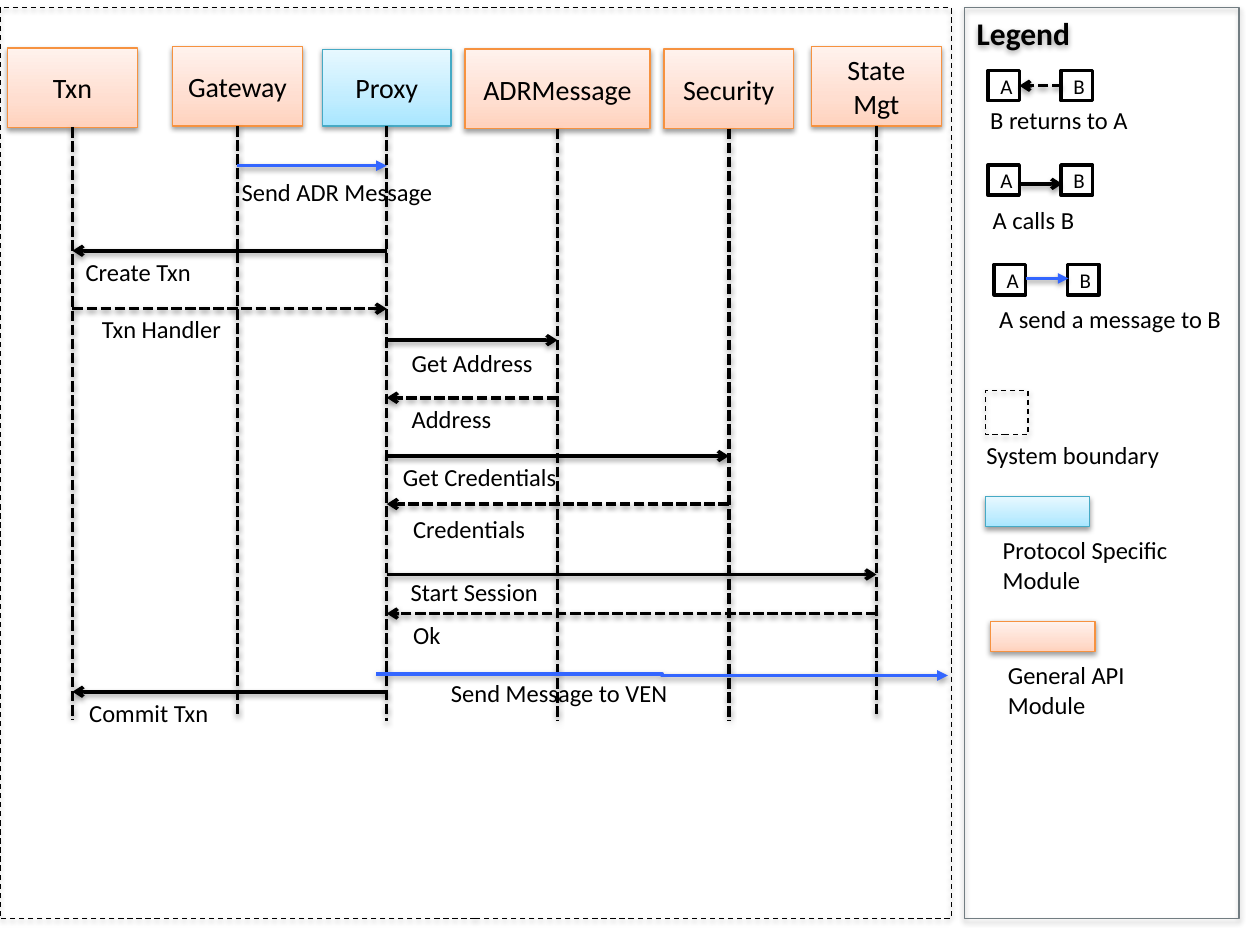
from copy import deepcopy

from lxml import etree
from pptx import Presentation
from pptx.dml.color import RGBColor
from pptx.enum import dml, shapes, text
from pptx.oxml import ns
from pptx.util import Pt

BLACK = RGBColor(0x00, 0x00, 0x00)
WHITE = RGBColor(0xFF, 0xFF, 0xFF)
GREY = RGBColor(0x72, 0x7D, 0x82)
BLUE = RGBColor(0x33, 0x66, 0xFF)
ORANGE_LINE = RGBColor(0xF6, 0x92, 0x40)
TEAL_LINE = RGBColor(0x46, 0xAA, 0xC5)
ORANGE = [RGBColor(0xFF, 0xD2, 0xBD), RGBColor(0xFF, 0xDE, 0xD0), RGBColor(0xFF, 0xF2, 0xED)]
TEAL = [RGBColor(0xA7, 0xE6, 0xFF), RGBColor(0xC1, 0xED, 0xFF), RGBColor(0xE7, 0xF8, 0xFF)]
GENERAL, PROTOCOL = (ORANGE, ORANGE_LINE), (TEAL, TEAL_LINE)
DASH, SHORT_DASH = dml.MSO_LINE.DASH, dml.MSO_LINE.SQUARE_DOT
STRAIGHT, ELBOW = shapes.MSO_CONNECTOR.STRAIGHT, shapes.MSO_CONNECTOR.ELBOW
SHADOW = (
    f'<a:effectLst {ns.nsdecls("a")}>'
    '<a:outerShdw blurRad="39400" dist="20300" dir="5400000" rotWithShape="0">'
    '<a:srgbClr val="000000"><a:alpha val="38000"/></a:srgbClr>'
    '</a:outerShdw></a:effectLst>'
)

presentation = Presentation()
presentation.slide_width, presentation.slide_height = Pt(720), Pt(540)
slide = presentation.slides.add_slide(presentation.slide_layouts[6])


def add_box(bounds, line, fill=None, label="", size=16, width=0.75, dash=None, shadow=True):
    """Add a rectangle; fill is None, one colour or a list of gradient colours."""
    shape = slide.shapes.add_shape(shapes.MSO_SHAPE.RECTANGLE, *map(Pt, bounds))
    properties = shape._element.spPr
    if fill is None:
        shape.fill.background()
    elif isinstance(fill, list):
        shape.fill.gradient()
        shape.fill.gradient_angle = 90
        stop_list = properties.find(".//" + ns.qn("a:gsLst"))
        stop_list.append(deepcopy(stop_list[0]))
        for stop, colour, position in zip(shape.fill.gradient_stops, fill, (0, 0.35, 1)):
            stop.color.rgb, stop.position = colour, position
    else:
        shape.fill.solid()
        shape.fill.fore_color.rgb = fill
    shape.line.color.rgb = line
    shape.line.width = Pt(width)
    if dash:
        shape.line.dash_style = dash
    shape.shadow.inherit = False
    if shadow:
        properties.find(ns.qn("a:effectLst")).append(etree.fromstring(SHADOW)[0])
    if label:
        shape.text_frame.text = label
        paragraph = shape.text_frame.paragraphs[0]
        paragraph.alignment = text.PP_ALIGN.CENTER if size == 16 else text.PP_ALIGN.LEFT
        font = paragraph.runs[0].font
        font.name, font.size, font.color.rgb = "Calibri", Pt(size), BLACK
    return shape


def add_line(x1, y1, x2, y2, colour=BLACK, dash=None, arrow=None, kind=STRAIGHT):
    connector = slide.shapes.add_connector(kind, *map(Pt, (x1, y1, x2, y2)))
    connector.line.color.rgb = colour
    connector.line.width = Pt(2)
    if dash:
        connector.line.dash_style = dash
    if arrow:
        tail = etree.SubElement(connector.line._get_or_add_ln(), ns.qn("a:tailEnd"))
        tail.set("type", arrow)
    connector._element.spPr.append(etree.fromstring(SHADOW))
    return connector


# System boundary and legend panel
add_box((0, 4.5, 543.6, 520.5), BLACK, dash=DASH)
legend = add_box((551, 4.5, 157, 520.5), GREY, label="Legend", size=18)
legend.text_frame.vertical_anchor = text.MSO_ANCHOR.TOP
legend.text_frame.paragraphs[0].runs[0].font.bold = True

# Modules with their lifelines
modules = [
    ("Txn", 4.3, 27.4, 74.2, 45.4, 411, GENERAL),
    ("Gateway", 98.6, 26.6, 74.2, 45.4, 410, GENERAL),
    ("Proxy", 184.3, 28.1, 73.4, 43.9, 412, PROTOCOL),
    ("ADRMessage", 265.7, 28.1, 105.8, 45.4, 412, GENERAL),
    ("Security", 379.4, 28.1, 74.2, 45.4, 412, GENERAL),
    ("State Mgt", 463.7, 26.6, 74.2, 45.4, 410, GENERAL),
]
lifeline_x = {}
for name, left, top, width, height, bottom, (fill, outline) in modules:
    header = add_box((left, top, width, height), outline, fill, name)
    x = lifeline_x[name] = left + width / 2
    lifeline = add_line(x, top + height, x, bottom, dash=SHORT_DASH)
    lifeline.begin_connect(header, 2)

# Messages between lifelines
calls = [
    ("Proxy", "Txn", 143.3, None),
    ("Txn", "Proxy", 176.4, SHORT_DASH),
    ("Proxy", "ADRMessage", 194.4, None),
    ("ADRMessage", "Proxy", 227.3, SHORT_DASH),
    ("Proxy", "Security", 260.6, None),
    ("Security", "Proxy", 288, SHORT_DASH),
    ("Proxy", "State Mgt", 328.3, None),
    ("State Mgt", "Proxy", 350.6, SHORT_DASH),
    ("Proxy", "Txn", 395.3, None),
]
for sender, receiver, y, dash in calls:
    add_line(lifeline_x[sender], y, lifeline_x[receiver], y, dash=dash, arrow="arrow")
add_line(lifeline_x["Gateway"], 94.7, lifeline_x["Proxy"], 94.7, BLUE, arrow="triangle")
add_line(215, 385, 541.6, 386, BLUE, arrow="triangle", kind=ELBOW)

# Legend samples: a pair of boxes and the arrow between them
samples = [
    (564.5, 40.3, 49, BLACK, SHORT_DASH, "arrow", True),
    (564.5, 94.3, 105.1, BLACK, None, "arrow", False),
    (568.1, 151.2, 159.1, BLUE, None, "triangle", False),
]
for left, top, y, colour, dash, arrow, returns in samples:
    for letter, offset in (("A", 0), ("B", 41.8)):
        add_box((left + offset, top, 18, 17.3), BLACK, WHITE, letter, 12, 2, shadow=False)
    start, end = left + 18, left + 42.5
    if returns:
        start, end = end, start
    add_line(start, y, end, y, colour, dash, arrow)

add_box((563, 223.2, 24.5, 25.2), BLACK, dash=DASH)
for left, top, (fill, outline) in ((563, 283.7, PROTOCOL), (566, 355, GENERAL)):
    add_box((left, top, 59.8, 17.3), outline, fill)

# Labels of messages and legend entries
labels = [
    ("Send ADR Message", 131, 97.9, 124.6),
    ("Create Txn", 41.8, 143.3, 173.5),
    ("Txn Handler", 51.1, 175.7, 105.8),
    ("Get Address", 228.2, 195.1, 84.2),
    ("Address", 228.2, 227.5, 60.5),
    ("Get Credentials", 223.2, 260.6, 103),
    ("Credentials", 229, 290.2, 79.2),
    ("Start Session", 227.5, 326.2, 87.8),
    ("Ok", 229, 350.6, 30.2),
    ("Send Message to VEN", 250.6, 383.8, 139.7),
    ("Commit Txn", 43.9, 395.3, 173.5),
    ("B returns to A", 558.7, 56.2, 94.3),
    ("A calls B", 560.2, 113.8, 61.9),
    ("A send a message to B", 563.8, 170, 142.6),
    ("System boundary", 556.6, 247.7, 114.5),
    ("Protocol Specific\nModule", 565.9, 302.4, 110.2),
    ("General API\nModule", 568.8, 373.7, 82),
]
for label, left, top, width in labels:
    height = 24.5 + 16.5 * label.count("\n")
    text_box = slide.shapes.add_textbox(Pt(left), Pt(top), Pt(width), Pt(height))
    frame = text_box.text_frame
    frame.text = label
    frame.word_wrap = False
    frame.auto_size = text.MSO_AUTO_SIZE.SHAPE_TO_FIT_TEXT
    for paragraph in frame.paragraphs:
        paragraph.alignment = text.PP_ALIGN.LEFT
        font = paragraph.runs[0].font
        font.name, font.size, font.color.rgb = "Calibri", Pt(14), BLACK

# The wide labels keep their full width
for shape in slide.shapes:
    if shape.has_text_frame and shape.text_frame.text in ("Create Txn", "Txn Handler", "Commit Txn"):
        shape.text_frame.word_wrap = True

presentation.save("out.pptx")
